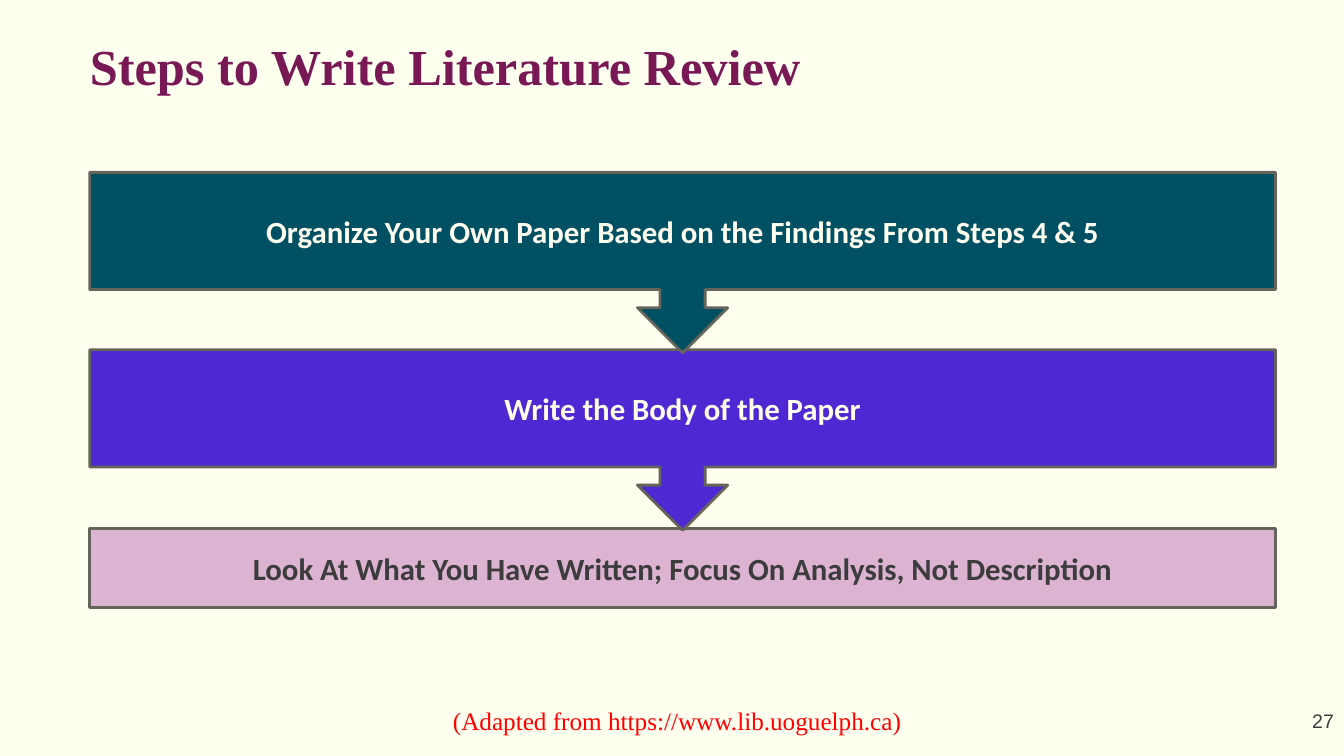
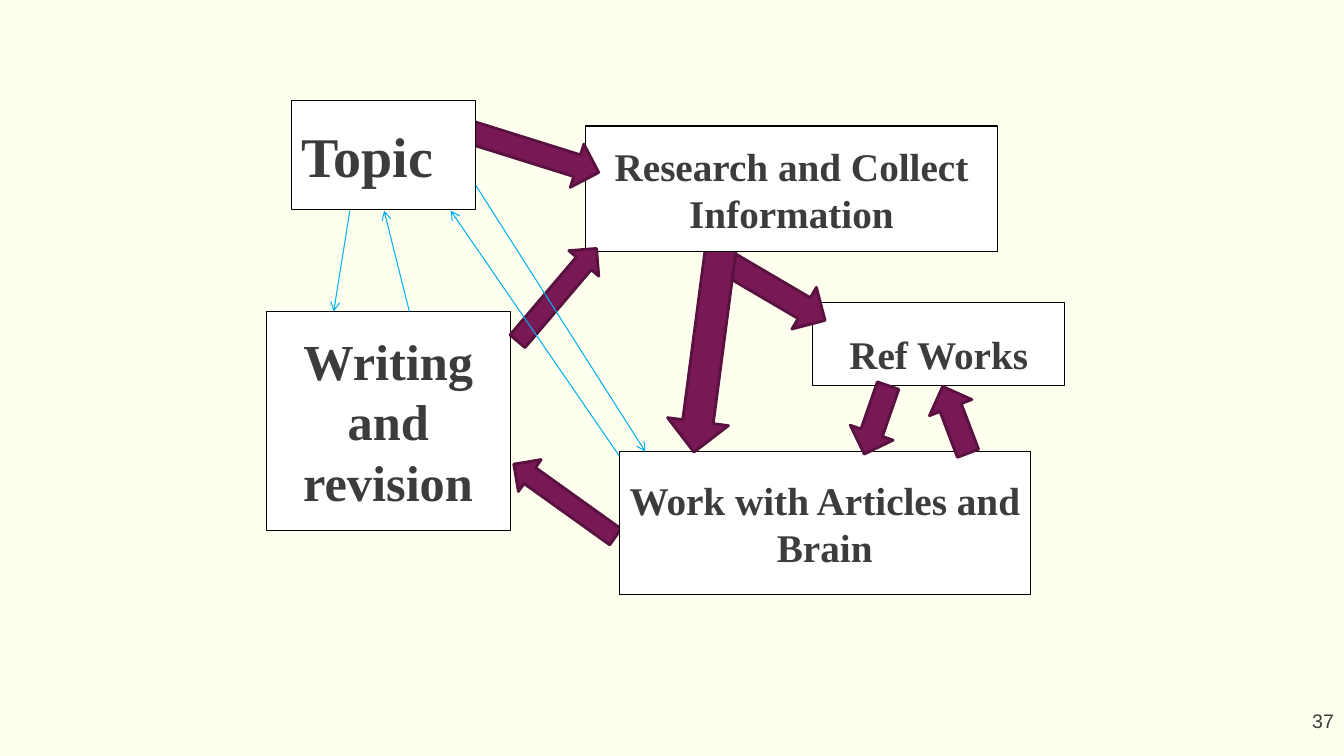
from lxml.etree import SubElement
from pptx import Presentation
from pptx.dml.color import RGBColor
from pptx.enum.shapes import MSO_CONNECTOR, MSO_SHAPE
from pptx.enum.text import MSO_ANCHOR, PP_ALIGN
from pptx.oxml.ns import qn
from pptx.util import Inches, Pt

# Shared style
IVORY, WHITE, INK, BLACK = "FFFFF0", "FFFFFF", "3C3C3C", "000000"
PLUM, DARK_PLUM, PINK = "781955", "59123F", "DCB4D2"
TEAL, VIOLET, GREY = "005064", "4E28D2", "64645A"
SKY, RED = "00B0F0", "FF0000"
SERIF = "Times New Roman"

TITLE = dict(name=SERIF, size=Pt(36), bold=True, color=PLUM)
STEP = dict(name="Calibri", size=Pt(22), bold=True, color=IVORY)
NODE = dict(name=SERIF, size=Pt(28), bold=True, color=INK)
SOURCE = dict(name=SERIF, size=Pt(18), color=RED)
NUMBER = dict(name="Arial", size=Pt(14), color=INK)


def rgb(value):
    return RGBColor.from_string(value)


class Deck:
    """Holds the presentation, its style and the current slide."""

    def __init__(self):
        self.deck = Presentation()
        self.deck.slide_width = Inches(13.33)
        self.deck.slide_height = Inches(7.5)
        self.page = None

    def new_page(self, number):
        self.page = self.deck.slides.add_slide(self.deck.slide_layouts[6])
        background = self.page.background.fill
        background.solid()
        background.fore_color.rgb = rgb(IVORY)
        self.label(number, (10.22, 6.95, 3.11, 0.4), NUMBER,
                   align=PP_ALIGN.RIGHT, anchor=MSO_ANCHOR.MIDDLE)

    def fill_text(self, box, text, style, align=PP_ALIGN.CENTER,
                  anchor=MSO_ANCHOR.MIDDLE, insets=(0.1, 0.05, 0.1, 0.05)):
        frame = box.text_frame
        frame.word_wrap = True
        frame.vertical_anchor = anchor
        for side, inset in zip(("left", "top", "right", "bottom"), insets):
            setattr(frame, f"margin_{side}", Inches(inset))
        para = frame.paragraphs[0]
        para.alignment = align
        span = para.add_run()
        span.text = text
        for key, value in style.items():
            if key == "color":
                span.font.color.rgb = rgb(value)
            else:
                setattr(span.font, key, value)

    def label(self, text, place, style, **layout):
        box = self.page.shapes.add_textbox(*map(Inches, place))
        self.fill_text(box, text, style, **layout)

    def title(self, text):
        self.label(text, (0.89, 0.35, 11.55, 0.94), TITLE, align=PP_ALIGN.LEFT,
                   anchor=MSO_ANCHOR.TOP, insets=(0, 0, 0, 0))

    def shape(self, kind, place, fill, line, weight):
        shape = self.page.shapes.add_shape(kind, *map(Inches, place))
        shape.shadow.inherit = False
        shape.fill.solid()
        shape.fill.fore_color.rgb = rgb(fill)
        shape.line.color.rgb = rgb(line)
        shape.line.width = Pt(weight)
        return shape

    def step(self, kind, text, top, height, fill, color=IVORY):
        box = self.shape(kind, (0.89, top, 11.76, height), fill, GREY, 2)
        self.fill_text(box, text, {**STEP, "color": color}, insets=(0.17,) * 4)

    def node(self, text, place, size=28, **layout):
        box = self.shape(MSO_SHAPE.RECTANGLE, place, WHITE, BLACK, 0.75)
        self.fill_text(box, text, {**NODE, "size": Pt(size)}, **layout)

    def block_arrow(self, place, angle):
        arrow = self.shape(MSO_SHAPE.RIGHT_ARROW, place, PLUM, DARK_PLUM, 2)
        arrow.rotation = angle

    def thin_arrow(self, start, end):
        arrow = self.page.shapes.add_connector(
            MSO_CONNECTOR.STRAIGHT, *map(Inches, start + end))
        arrow.line.color.rgb = rgb(SKY)
        arrow.line.width = Pt(0.75)
        properties = arrow._element.spPr
        SubElement(properties.find(qn("a:ln")), qn("a:tailEnd"), type="arrow")
        SubElement(properties, qn("a:effectLst"))


def build_steps(show):
    show.new_page("27")
    show.title("Steps to Write Literature Review")

    # Step boxes, last one first so that each arrow tip lies on the next box
    show.step(MSO_SHAPE.RECTANGLE,
              "Look At What You Have Written; Focus On Analysis, Not Description",
              5.24, 0.79, PINK, INK)
    callouts = (
        ("Write the Body of the Paper", 3.47, VIOLET),
        ("Organize Your Own Paper Based on the Findings From Steps 4 & 5",
         1.71, TEAL),
    )
    for text, top, fill in callouts:
        show.step(MSO_SHAPE.DOWN_ARROW_CALLOUT, text, top, 1.79, fill)

    # Source line
    show.label("(Adapted from https://www.lib.uoguelph.ca)",
               (2.49, 6.95, 7.95, 0.4), SOURCE, anchor=MSO_ANCHOR.TOP,
               insets=(0.6, 0.05, 0.1, 0.05))


def build_cycle(show):
    show.new_page("37")

    # Nodes and block arrows, from back to front
    show.node("Writing and revision", (2.64, 3.09, 2.42, 2.17), 36)
    show.block_arrow((4.98, 4.77, 1.24, 0.39), 215.6)
    show.node("Ref Works", (8.06, 3, 2.5, 0.83),
              insets=(0.1, 0.25, 0.1, 0.05))
    show.block_arrow((7.01, 2.62, 1.26, 0.48), 30.4)
    show.node("Work with Articles and Brain", (6.14, 4.48, 4.08, 1.42))
    show.block_arrow((5.97, 3.14, 2.1, 0.61), 97.5)
    show.node("Research and Collect Information", (5.81, 1.25, 4.08, 1.25))
    show.block_arrow((4.59, 1.28, 1.38, 0.45), 17.4)
    show.node("Topic", (2.89, 1, 1.83, 1.08), 40, align=PP_ALIGN.LEFT)
    show.block_arrow((8.33, 3.94, 0.72, 0.45), 109.2)
    show.block_arrow((9.12, 3.94, 0.71, 0.45), 249.2)
    show.block_arrow((4.92, 2.73, 1.21, 0.39), 310.4)

    # Thin feedback arrows around the topic
    feedback = (
        ((6.14, 4.52), (4.47, 2.09)),
        ((3.47, 2.09), (3.31, 3.09)),
        ((4.06, 3.09), (3.81, 2.09)),
        ((4.72, 1.84), (6.4, 4.48)),
    )
    for start, end in feedback:
        show.thin_arrow(start, end)


def main():
    show = Deck()
    build_steps(show)
    build_cycle(show)
    show.deck.save("out.pptx")


if __name__ == "__main__":
    main()
